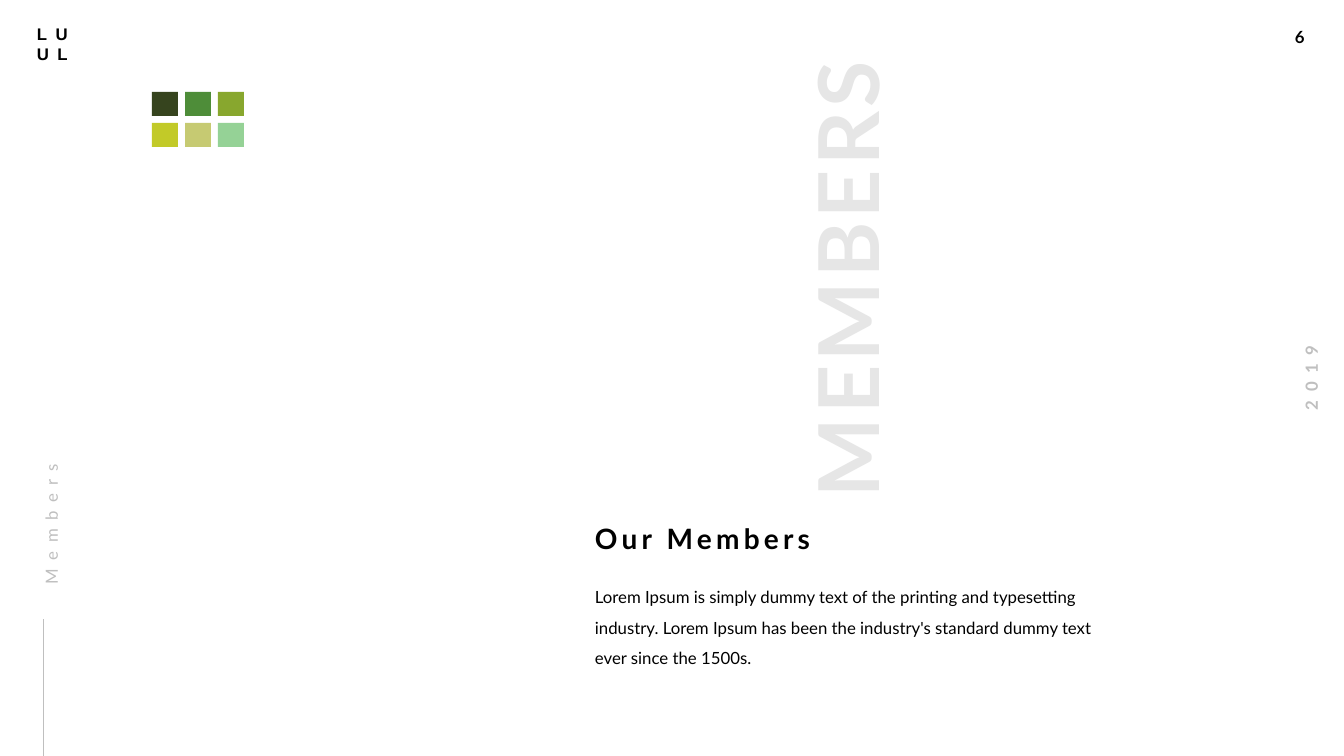
from dataclasses import dataclass

from pptx import Presentation
from pptx.dml.color import RGBColor
from pptx.enum import shapes, text
from pptx.oxml import ns, xmlchemy
from pptx.slide import Slide
from pptx import util as u

EMU_PER_PX = 914400 / 100.8
BLACK = RGBColor(0x00, 0x00, 0x00)
WHITE = RGBColor(0xFF, 0xFF, 0xFF)
GREY = RGBColor(0xBF, 0xBF, 0xBF)
PALE_GREY = RGBColor(0xE6, 0xE6, 0xE6)
SWATCH_ROWS = (
    (RGBColor(0x36, 0x44, 0x1E), RGBColor(0x4E, 0x8D, 0x39), RGBColor(0x88, 0xA7, 0x2E)),
    (RGBColor(0xC2, 0xCA, 0x28), RGBColor(0xC6, 0xCA, 0x72), RGBColor(0x95, 0xD2, 0x96)),
)
SWATCH_LEFT, SWATCH_TOP = 152, 92
SWATCH_WIDTH, SWATCH_HEIGHT = 26, 24
SWATCH_PITCH_X, SWATCH_PITCH_Y = 33, 31
DEFAULT_INSETS = (10, 5, 10, 5)
FLUSH_INSETS = (0, 0, 10, 0)


@dataclass(frozen=True)
class Label:
    lines: tuple[str, ...]
    left: int
    top: int
    width: int
    height: int
    size: int = 12
    color: RGBColor = BLACK
    font: str = "Lato"
    bold: bool = False
    tracking: int = 0
    rotation: int = 0
    insets: tuple[int, int, int, int] = DEFAULT_INSETS
    wrap: bool = True
    align: text.PP_ALIGN = text.PP_ALIGN.LEFT
    line_spacing: float = 1.0
    space_before: int = 0


LABELS = (
    Label(("6",), 1285, 22, 41, 30, bold=True, wrap=False),
    Label(("2019",), 1264, 363, 94, 30, color=GREY, bold=True, tracking=6,
          rotation=270, wrap=False, align=text.PP_ALIGN.CENTER),
    Label(("LU", "UL"), 27, 19, 59, 50, font="Arial", bold=True, tracking=6),
    Label(("MEMBERS",), 621, 222, 450, 101, size=60, color=PALE_GREY, bold=True,
          tracking=3, rotation=270, insets=(0, 0, 0, 0)),
    Label(("Lorem Ipsum is simply dummy text of the printing and typesetting "
           "industry. Lorem Ipsum has been the industry's standard dummy text "
           "ever since the 1500s.",), 595, 577, 517, 88,
          insets=FLUSH_INSETS, line_spacing=1.5, space_before=12),
    Label(("Our Members",), 595, 521, 259, 34, size=20, bold=True, tracking=3,
          insets=FLUSH_INSETS, space_before=12),
    Label(("Members",), -49, 478, 186, 26, color=GREY, tracking=6, rotation=270,
          insets=FLUSH_INSETS, line_spacing=1.5, space_before=12),
)


def px(length: int) -> u.Emu:
    return u.Emu(round(length * EMU_PER_PX))


def draw_label(slide: Slide, label: Label) -> None:
    box = slide.shapes.add_textbox(
        px(label.left), px(label.top), px(label.width), px(label.height))
    box.rotation = label.rotation
    frame = box.text_frame
    frame.word_wrap = label.wrap
    frame.auto_size = text.MSO_AUTO_SIZE.SHAPE_TO_FIT_TEXT
    (frame.margin_left, frame.margin_top,
     frame.margin_right, frame.margin_bottom) = map(px, label.insets)
    frame.text = "\n".join(label.lines)
    for paragraph in frame.paragraphs:
        paragraph.alignment = label.align
        paragraph.line_spacing = label.line_spacing
        paragraph.space_before = u.Pt(label.space_before)
        paragraph.font.name = label.font
        paragraph.font.size = u.Pt(label.size)
        paragraph.font.bold = label.bold
        paragraph.font.color.rgb = label.color
        defaults = paragraph._p.pPr.find(ns.qn("a:defRPr"))
        defaults.set("spc", str(label.tracking * 100))


def draw_swatches(slide: Slide) -> None:
    for row, colors in enumerate(SWATCH_ROWS):
        for column, color in enumerate(colors):
            swatch = slide.shapes.add_shape(
                shapes.MSO_SHAPE.RECTANGLE,
                px(SWATCH_LEFT + column * SWATCH_PITCH_X),
                px(SWATCH_TOP + row * SWATCH_PITCH_Y),
                px(SWATCH_WIDTH), px(SWATCH_HEIGHT))
            swatch.shadow.inherit = False
            swatch.fill.solid()
            swatch.fill.fore_color.rgb = color
            swatch.line.fill.background()


def draw_side_rule(slide: Slide) -> None:
    rule = slide.shapes.add_connector(
        shapes.MSO_CONNECTOR.STRAIGHT, px(43), px(756), px(43), px(619))
    rule.line.color.rgb = GREY
    rule.line.width = u.Pt(0.5)
    rule._element.spPr.append(xmlchemy.OxmlElement("a:effectLst"))


def main() -> None:
    deck = Presentation()
    deck.slide_width, deck.slide_height = px(1344), px(756)
    slide = deck.slides.add_slide(deck.slide_layouts[6])
    slide.background.fill.solid()
    slide.background.fill.fore_color.rgb = WHITE
    for label in LABELS:
        draw_label(slide, label)
    draw_side_rule(slide)
    draw_swatches(slide)
    deck.save("out.pptx")


if __name__ == "__main__":
    main()
